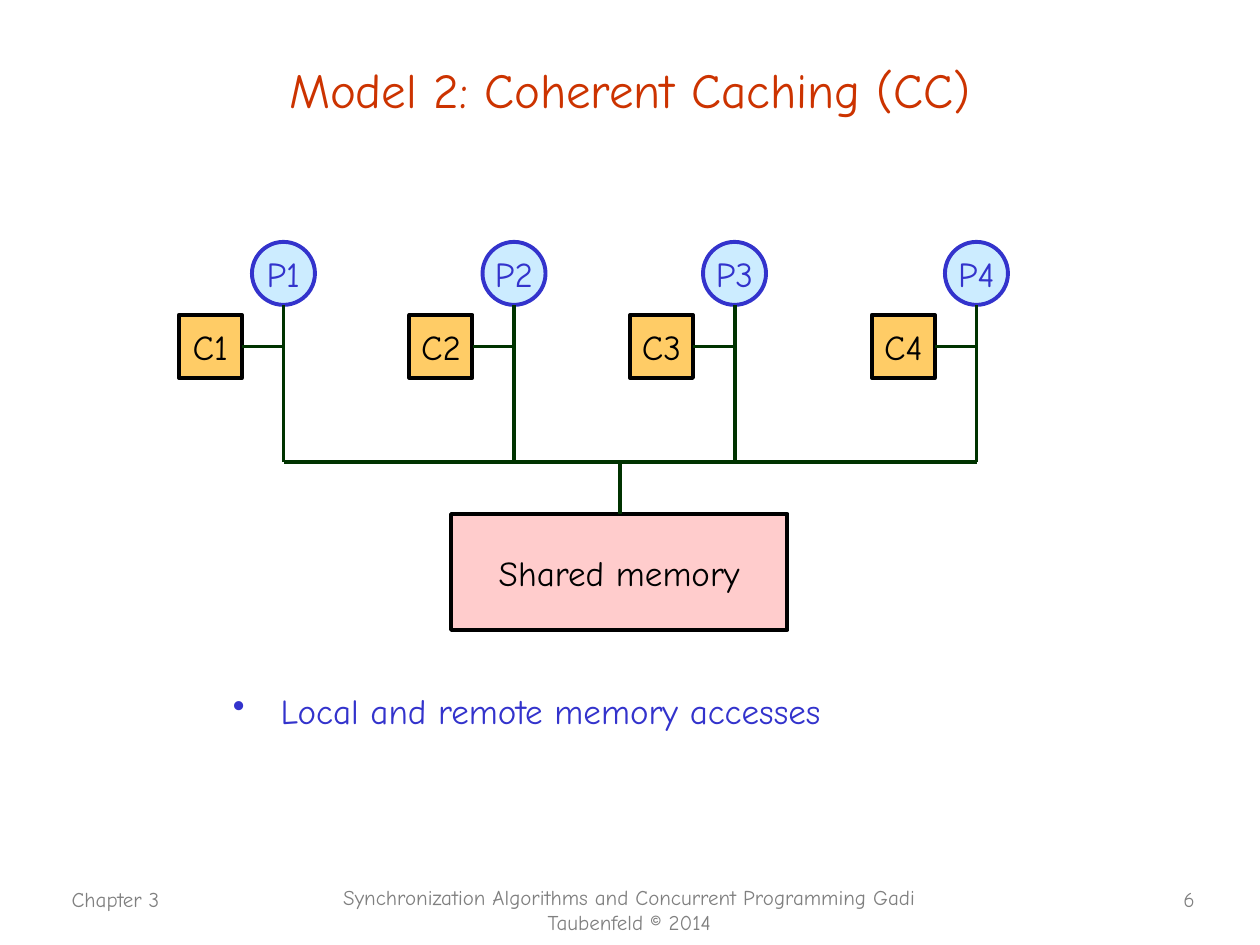
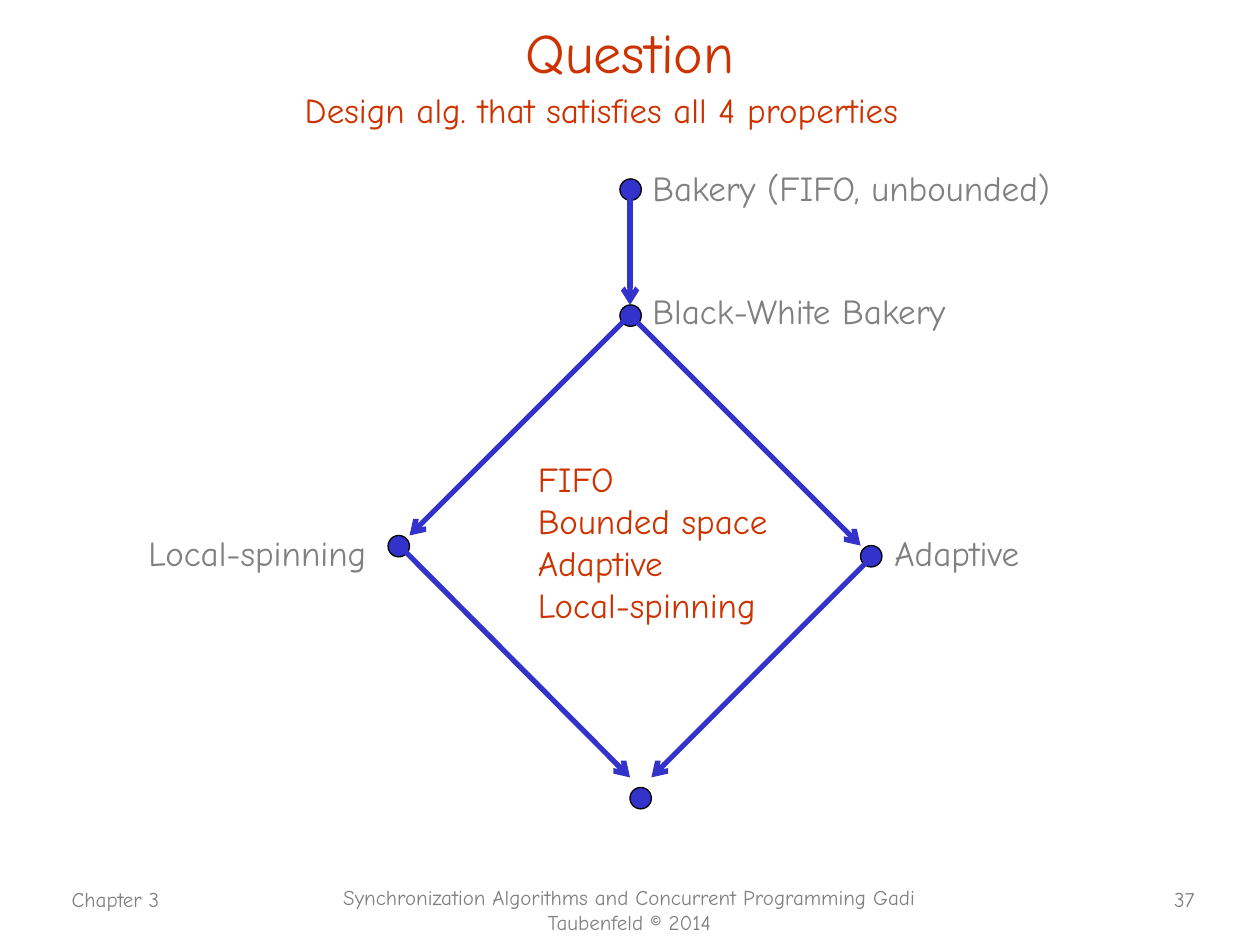
"""Build two slides on shared-memory models and mutual exclusion algorithms."""
import pptx
import pptx.util
import pptx.dml.color
import pptx.enum.shapes
import pptx.enum.text
import pptx.oxml
import pptx.oxml.ns

Inches, Pt = pptx.util.Inches, pptx.util.Pt
RGB = pptx.dml.color.RGBColor.from_string
SHAPE = pptx.enum.shapes.MSO_SHAPE
STRAIGHT = pptx.enum.shapes.MSO_CONNECTOR.STRAIGHT
ALIGN = pptx.enum.text.PP_ALIGN
ANCHOR = pptx.enum.text.MSO_ANCHOR
FIT = pptx.enum.text.MSO_AUTO_SIZE
NS = pptx.oxml.ns.nsdecls("a")

COLORS = {"title": "CC3300", "grey": "808080", "blue": "3333CC", "sky": "CCECFF",
          "pink": "FFCCCC", "orange": "FFCC66", "bus": "003300", "black": "000000"}
BOX = {"word_wrap": True, "auto_size": FIT.NONE}
LABEL = {"word_wrap": False, "auto_size": FIT.SHAPE_TO_FIT_TEXT}
NODE = {"word_wrap": False, "vertical_anchor": ANCHOR.MIDDLE}
TITLE = {"word_wrap": True, "auto_size": FIT.NONE, "vertical_anchor": ANCHOR.MIDDLE}
TEXT_SHADOW = (f'<a:effectLst {NS}><a:outerShdw blurRad="38100" dist="38100" dir="2700000">'
               '<a:srgbClr val="000000"><a:alpha val="43000"/></a:srgbClr>'
               '</a:outerShdw></a:effectLst>')


def write(sp, lines, size, color, frame, align=ALIGN.LEFT):
    tf = sp.text_frame
    for name, value in frame.items():
        setattr(tf, name, value)
    for i, line in enumerate(lines):
        p = tf.add_paragraph() if i else tf.paragraphs[0]
        p.alignment = align
        r = p.add_run()
        r.text = line
        for name, value in {"size": Pt(size), "name": "Comic Neue"}.items():
            setattr(r.font, name, value)
        r.font.color.rgb = RGB(COLORS[color])
    return tf.paragraphs[0]


def connect(s, x1, y1, x2, y2, color, width, arrow=False):
    cx = s.shapes.add_connector(STRAIGHT, *map(Inches, (x1, y1, x2, y2)))
    cx.line.color.rgb = RGB(COLORS[color])
    cx.line.width = Pt(width)
    cx._element.spPr.append(pptx.oxml.parse_xml(f"<a:effectLst {NS}/>"))
    if arrow:
        cx.line._get_or_add_ln().append(pptx.oxml.parse_xml(f'<a:tailEnd {NS} type="arrow"/>'))


prs = pptx.Presentation()
prs.slide_width, prs.slide_height = Inches(10), Inches(7.5)

slides = []
for title, size, height, number in [("Model 2: Coherent Caching (CC)", 28, 1.25, "6"),
                                    ("Question", 32, 0.65, "37")]:
    s = prs.slides.add_slide(prs.slide_layouts[5])
    slides.append(s)
    sp = s.shapes.title
    for name, value in {"left": 0.75, "top": 0.08, "width": 8.5, "height": height}.items():
        setattr(sp, name, Inches(value))
    p = write(sp, [title], size, "title", TITLE, ALIGN.CENTER)
    fill = p.runs[0]._r.rPr.find(pptx.oxml.ns.qn("a:solidFill"))
    fill.addnext(pptx.oxml.parse_xml(TEXT_SHADOW))
    for at, text, align in [
            ((9.11, 6.99, 0.47, 0.3), number, ALIGN.RIGHT),
            ((0.47, 6.99, 2.08, 0.5), "Chapter 3", ALIGN.LEFT),
            ((2.58, 6.97, 4.83, 0.5), "Synchronization Algorithms and Concurrent "
             "Programming Gadi Taubenfeld © 2014", ALIGN.CENTER)]:
        write(s.shapes.add_textbox(*map(Inches, at)), [text], 12, "grey", BOX, align)
model, question = slides

processors = [2.25, 4.08, 5.83, 7.75]
bus_y = 3.67
nodes = [("Shared memory", SHAPE.RECTANGLE, (3.58, 4.08, 2.67, 0.92), "pink", "black", "black")]
wires = [(processors[0], bus_y, processors[-1], bus_y), (4.92, bus_y, 4.92, 4.08)]
for i, x in enumerate(processors, 1):
    nodes += [(f"P{i}", SHAPE.OVAL, (x - 0.25, 1.92, 0.5, 0.5), "sky", "blue", "blue"),
              (f"C{i}", SHAPE.RECTANGLE, (x - 0.83, 2.5, 0.5, 0.5), "orange", "black", "black")]
    wires += [(x, 2.42, x, bus_y), (x - 0.33, 2.75, x, 2.75)]

for text, kind, at, fill, line, color in nodes:
    sp = model.shapes.add_shape(kind, *map(Inches, at))
    sp.shadow.inherit = False
    sp.fill.solid()
    sp.fill.fore_color.rgb = RGB(COLORS[fill])
    sp.line.color.rgb = RGB(COLORS[line])
    sp.line.width = Pt(2.25)
    write(sp, [text], 20, color, NODE, ALIGN.CENTER)
for wire in wires:
    connect(model, *wire, "bus", 2.25)

sp = model.shapes.add_textbox(*map(Inches, (1.75, 5.42, 6.67, 0.57)))
p = write(sp, ["Local and remote memory accesses"], 20, "blue", BOX)
pPr = p._p.get_or_add_pPr()
pPr.set("marL", str(Inches(0.38)))
pPr.set("indent", str(Inches(-0.38)))
pPr.append(pptx.oxml.parse_xml(f'<a:buChar {NS} char="•"/>'))

dot = 0.17
for x, y in [(4.92, 1.42), (4.92, 2.42), (6.83, 4.33), (3.08, 4.25), (5, 6.25)]:
    sp = question.shapes.add_shape(SHAPE.OVAL, *map(Inches, (x, y, dot, dot)))
    sp.shadow.inherit = False
    sp.fill.solid()
    sp.fill.fore_color.rgb = RGB(COLORS["blue"])
    sp.line.color.rgb = RGB(COLORS["black"])
    sp.line.width = Pt(0.75)

for arrow in [(5, 1.5, 5, 2.42), (5, 2.5, 6.83, 4.33), (5, 2.5, 3.25, 4.25),
              (3.17, 4.33, 5, 6.17), (6.92, 4.42, 5.17, 6.17)]:
    connect(question, *arrow, "blue", 3, arrow=True)

for at, lines, color in [
        ((5.08, 1.27, 3.63, 0.43), ["Bakery (FIFO, unbounded)"], "grey"),
        ((5.08, 2.25, 2.79, 0.43), ["Black-White Bakery"], "grey"),
        ((7, 4.17, 1.36, 0.43), ["Adaptive"], "grey"),
        ((1.08, 4.17, 2, 0.43), ["Local-spinning"], "grey"),
        ((2.32, 0.65, 5.51, 0.43), ["Design alg. that satisfies all 4 properties"], "title"),
        ((4.17, 3.58, 2.1, 1.43), ["FIFO", "Bounded space", "Adaptive", "Local-spinning"],
         "title")]:
    write(question.shapes.add_textbox(*map(Inches, at)), lines, 20, color, LABEL)

prs.save("out.pptx")
